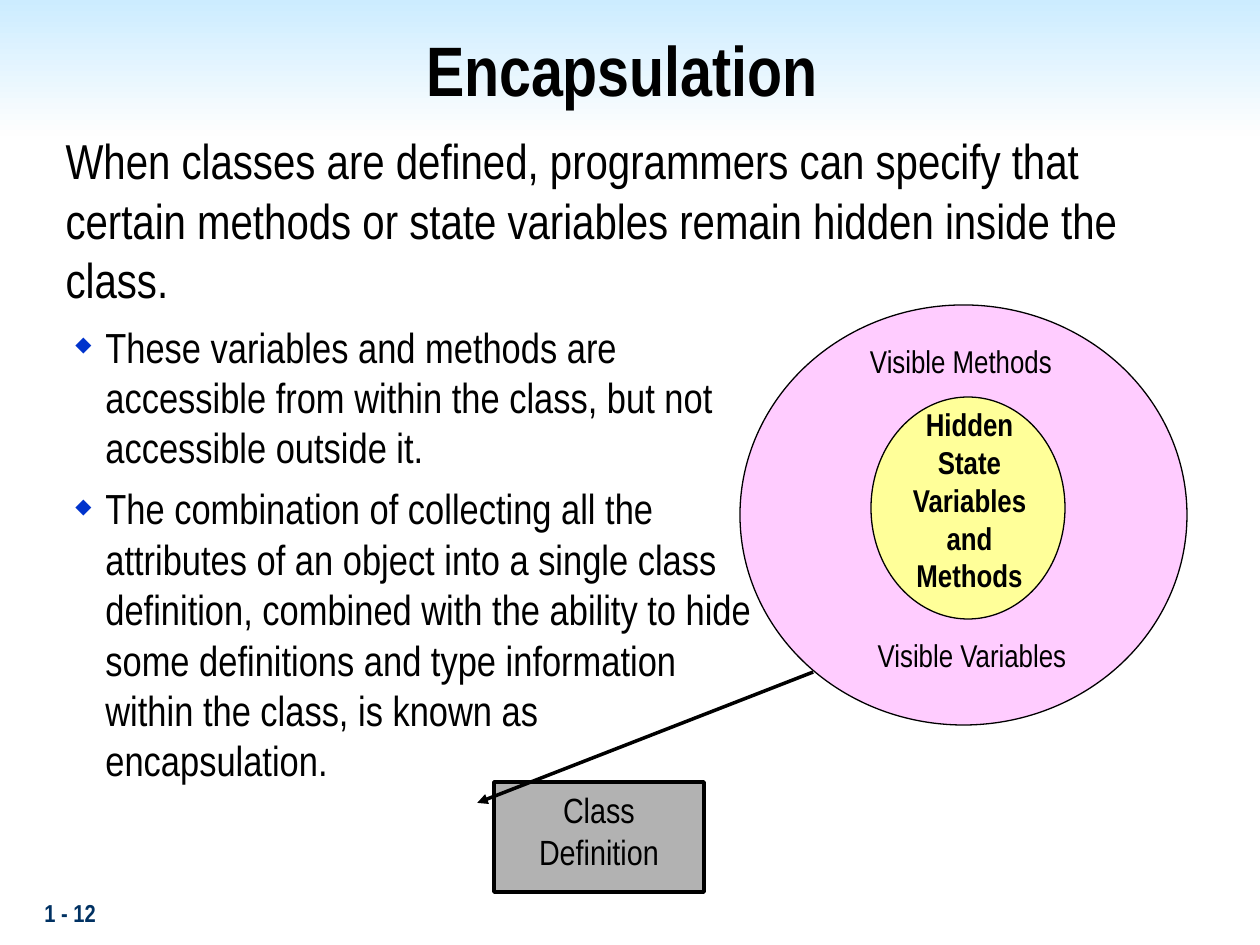
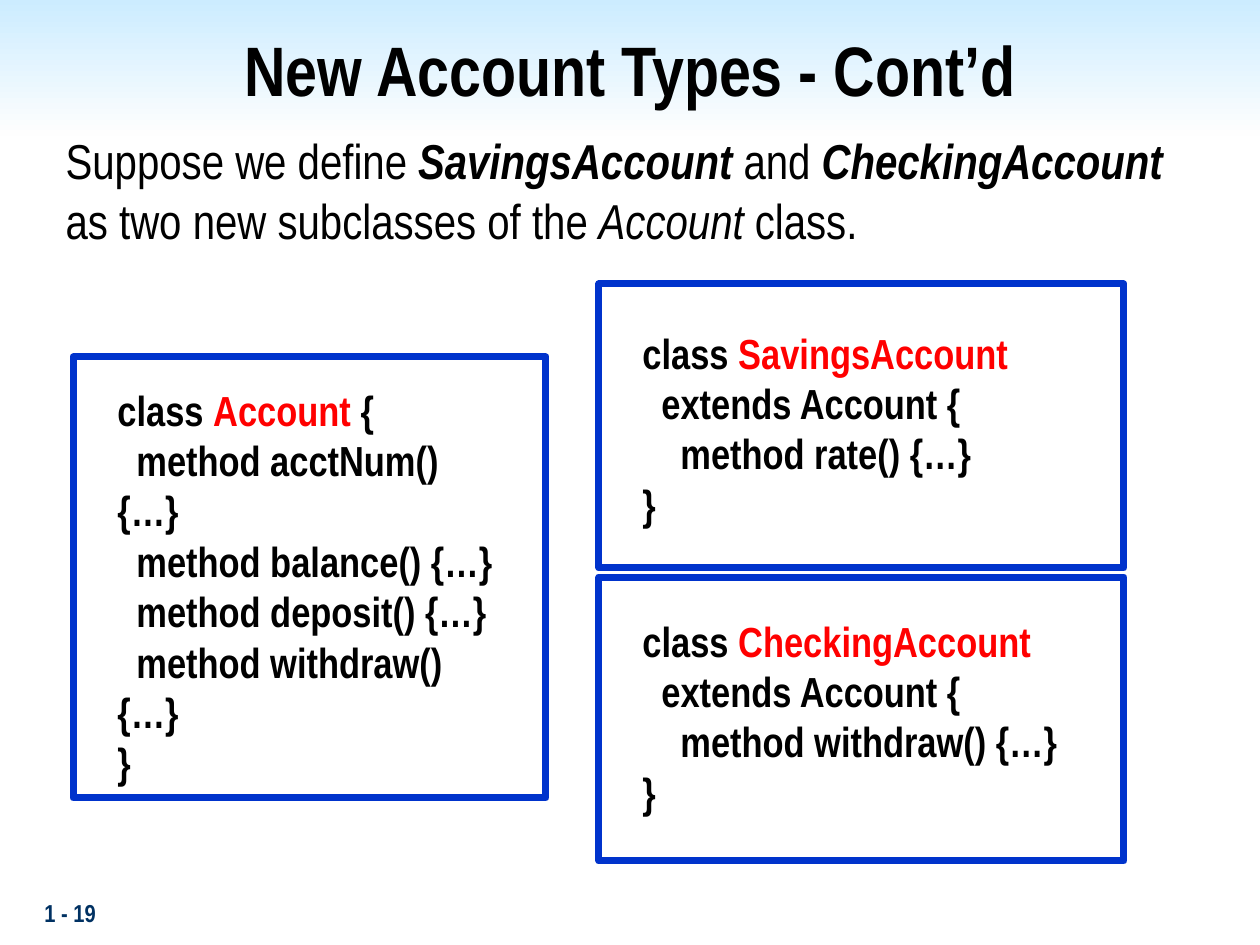
from dataclasses import dataclass

from lxml import etree
from pptx import Presentation
from pptx import util as u
from pptx.dml.color import RGBColor
from pptx.enum import shapes, text
from pptx.oxml.ns import qn

SCALE = 914400 / 126
SHAPE = shapes.MSO_SHAPE
CENTER = text.PP_ALIGN.CENTER


@dataclass(frozen=True)
class Theme:
    """Colours, font and type sizes of the deck."""
    font: str = "Arial Narrow"
    ink: str = "000000"
    sky: str = "CCECFF"
    fade: str = "FEFEFE"
    navy: str = "003162"
    blue: str = "0033CC"
    red: str = "FF0000"
    pink: str = "FFCCFF"
    yellow: str = "FFFF99"
    grey: str = "B2B2B2"
    title: int = 40
    lead: int = 28
    text: int = 24
    callout: int = 20
    label: int = 18
    footer: int = 14


def px(n):
    """Turn pixels into EMU."""
    return u.Emu(round(n * SCALE))


def rgb(color):
    """Turn a hex string into a colour."""
    return RGBColor.from_string(color)


class Deck:
    """Holds the theme and the current slide and draws elements on it."""

    def __init__(self, theme):
        """Start an empty 4:3 presentation."""
        self.t = theme
        self.prs = Presentation()
        self.prs.slide_width, self.prs.slide_height = px(1260), px(945)

    def slide(self, title, number):
        """Add a slide with its band, title and page number."""
        self.s = self.prs.slides.add_slide(self.prs.slide_layouts[1])
        self.band()
        sp = self.s.shapes.title
        self.place(sp, (21, 21, 1218, 95))
        self.fill_text(sp.text_frame.paragraphs[0], title, self.t.title,
                       bold=True, align=CENTER)
        self.label((32, 892, 262, 42), f"1 - {number}", self.t.footer,
                   color=self.t.navy, bold=True, align=None)

    def band(self):
        """Draw the fading band behind the title."""
        sp = self.shape(SHAPE.RECTANGLE, (0, 0, 1260, 136))
        sp.fill.gradient()
        sp.fill.gradient_angle = 270
        for stop, color in zip(sp.fill.gradient_stops, (self.t.sky, self.t.fade)):
            stop.color.rgb = rgb(color)
        self.s.shapes._spTree.insert(2, sp._element)

    def place(self, sp, box):
        """Move a placeholder and fix its text size."""
        sp.left, sp.top, sp.width, sp.height = map(px, box)
        sp.text_frame.auto_size = text.MSO_AUTO_SIZE.NONE
        sp.text_frame.word_wrap = True

    def fill_text(self, p, content, size, color=None, bold=False, align=None, before=0):
        """Fill a paragraph from a string or a list of (text, style) runs."""
        runs = [(content, {})] if isinstance(content, str) else content
        p.alignment, p.space_before = align, u.Pt(before)
        for words, style in runs:
            r = p.add_run()
            r.text = words
            r.font.name, r.font.size = self.t.font, u.Pt(size)
            r.font.bold = style.get("bold", bold)
            r.font.italic = style.get("italic", False)
            r.font.color.rgb = rgb(style.get("color", color or self.t.ink))

    def indent(self, p, left, first, bullet=None):
        """Set the indents of a paragraph and its bullet, if any."""
        pr = p._p.get_or_add_pPr()
        pr.set("marL", str(px(left)))
        pr.set("indent", str(px(first)))
        if not bullet:
            etree.SubElement(pr, qn("a:buNone"))
            return
        clr = etree.SubElement(pr, qn("a:buClr"))
        etree.SubElement(clr, qn("a:srgbClr"), val=self.t.blue)
        etree.SubElement(pr, qn("a:buSzPct"), val="50000")
        etree.SubElement(pr, qn("a:buChar"), char=bullet)

    def paragraphs(self, tf, count):
        """Return the given number of paragraphs of an empty frame."""
        return [tf.paragraphs[0]] + [tf.add_paragraph() for _ in range(count - 1)]

    def lead(self, height, lines):
        """Fill the body placeholder with the opening statement."""
        sp = self.s.placeholders[1]
        self.place(sp, (53, 136, 1155, height))
        for p, line in zip(self.paragraphs(sp.text_frame, len(lines)), lines):
            self.fill_text(p, line, self.t.lead, before=7)
            p.line_spacing = 0.8
            self.indent(p, 30, -30)

    def textbox(self, box):
        """Add a wrapping text box and return its frame."""
        tf = self.s.shapes.add_textbox(*map(px, box)).text_frame
        tf.word_wrap = True
        return tf

    def label(self, box, words, size, color=None, bold=False, align=CENTER):
        """Add a one-paragraph text box."""
        p = self.textbox(box).paragraphs[0]
        self.fill_text(p, words, size, color, bold, align)

    def bullets(self, box, items):
        """Add a list with diamond bullets."""
        for p, item in zip(self.paragraphs(self.textbox(box), len(items)), items):
            self.fill_text(p, item, self.t.text, before=6)
            self.indent(p, 30, -30, "◆")

    def code(self, box, name, tail, lines):
        """Add a class listing; each line is (depth, words)."""
        head = [("class ", {}), (name, {"color": self.t.red}), (tail, {})]
        head = [run for run in head if run[0]]
        rows = [(0, head), *lines, (0, "}")]
        for p, (depth, words) in zip(self.paragraphs(self.textbox(box), len(rows)), rows):
            self.fill_text(p, words, self.t.text, bold=True)
            self.indent(p, 0, 19 * depth)

    def shape(self, kind, box, fill=None, line=None, width=0.75):
        """Add a preset shape without shadow."""
        sp = self.s.shapes.add_shape(kind, *map(px, box))
        sp.shadow.inherit = False
        if fill:
            sp.fill.solid()
            sp.fill.fore_color.rgb = rgb(fill)
        else:
            sp.fill.background()
        if line:
            sp.line.color.rgb = rgb(line)
            sp.line.width = u.Pt(width)
        else:
            sp.line.fill.background()
        return sp

    def callout(self, box, words, adjustments):
        """Add a boxed callout whose leader line has an arrowhead."""
        sp = self.shape(SHAPE.LINE_CALLOUT_1, box, self.t.grey, self.t.ink, 2)
        for i, value in enumerate(adjustments):
            sp.adjustments[i] = value
        etree.SubElement(sp.line._get_or_add_ln(), qn("a:headEnd"), type="triangle")
        tf = sp.text_frame
        tf.word_wrap = True
        tf.vertical_anchor = text.MSO_ANCHOR.TOP
        self.fill_text(tf.paragraphs[0], words, self.t.callout, align=CENTER)


def encapsulation(d):
    """Build the slide on hidden and visible members."""
    t = d.t
    d.slide("Encapsulation ", 12)
    d.lead(179, ["When classes are defined, programmers can specify that",
                 "certain methods or state variables remain hidden inside the",
                 "class."])
    d.bullets((63, 315, 714, 553), [
        "These variables and methods are accessible from within the class, "
        "but not accessible outside it.",
        "The combination of collecting all the attributes of an object into a single "
        "class definition, combined with the ability to hide some definitions and type "
        "information within the class, is known as encapsulation."])
    d.shape(SHAPE.OVAL, (740, 305, 447, 420), t.pink, t.ink)
    d.shape(SHAPE.OVAL, (871, 397, 194, 222), t.yellow, t.ink)
    d.label((892, 399, 155, 202), "Hidden State Variables and Methods", t.label, bold=True)
    d.label((840, 336, 242, 50), "Visible Methods", t.label)
    d.label((851, 630, 242, 50), "Visible Variables", t.label)
    d.callout((494, 782, 210, 110), "Class Definition", (0.19, -0.08, -1, 1.52))


def account_types(d):
    """Build the slide on the account subclasses."""
    strong = {"bold": True, "italic": True}
    d.slide("New Account Types - Cont’d", 19)
    d.lead(149, [
        [("Suppose we define ", {}), ("SavingsAccount", strong),
         (" and ", {}), ("CheckingAccount", strong)],
        [("as two new subclasses of the ", {}), ("Account", {"italic": True}),
         (" class.", {})]])
    members = ("acctNum", "balance", "deposit", "withdraw")
    d.code((105, 378, 410, 416), "Account", " {",
           [(1, f"method {m}() {{…}}") for m in members])
    subclasses = (("SavingsAccount", "rate", 321), ("CheckingAccount", "withdraw", 609))
    for name, method, top in subclasses:
        d.code((630, top, 462, 214), name, "",
               [(1, "extends Account {"), (2, f"method {method}() {{…}}")])
    for box in ((73, 357, 473, 441), (599, 284, 525, 284), (599, 577, 525, 284)):
        d.shape(SHAPE.RECTANGLE, box, line=d.t.blue, width=4)


def main():
    """Build and save the deck."""
    d = Deck(Theme())
    encapsulation(d)
    account_types(d)
    d.prs.save("out.pptx")


if __name__ == "__main__":
    main()
